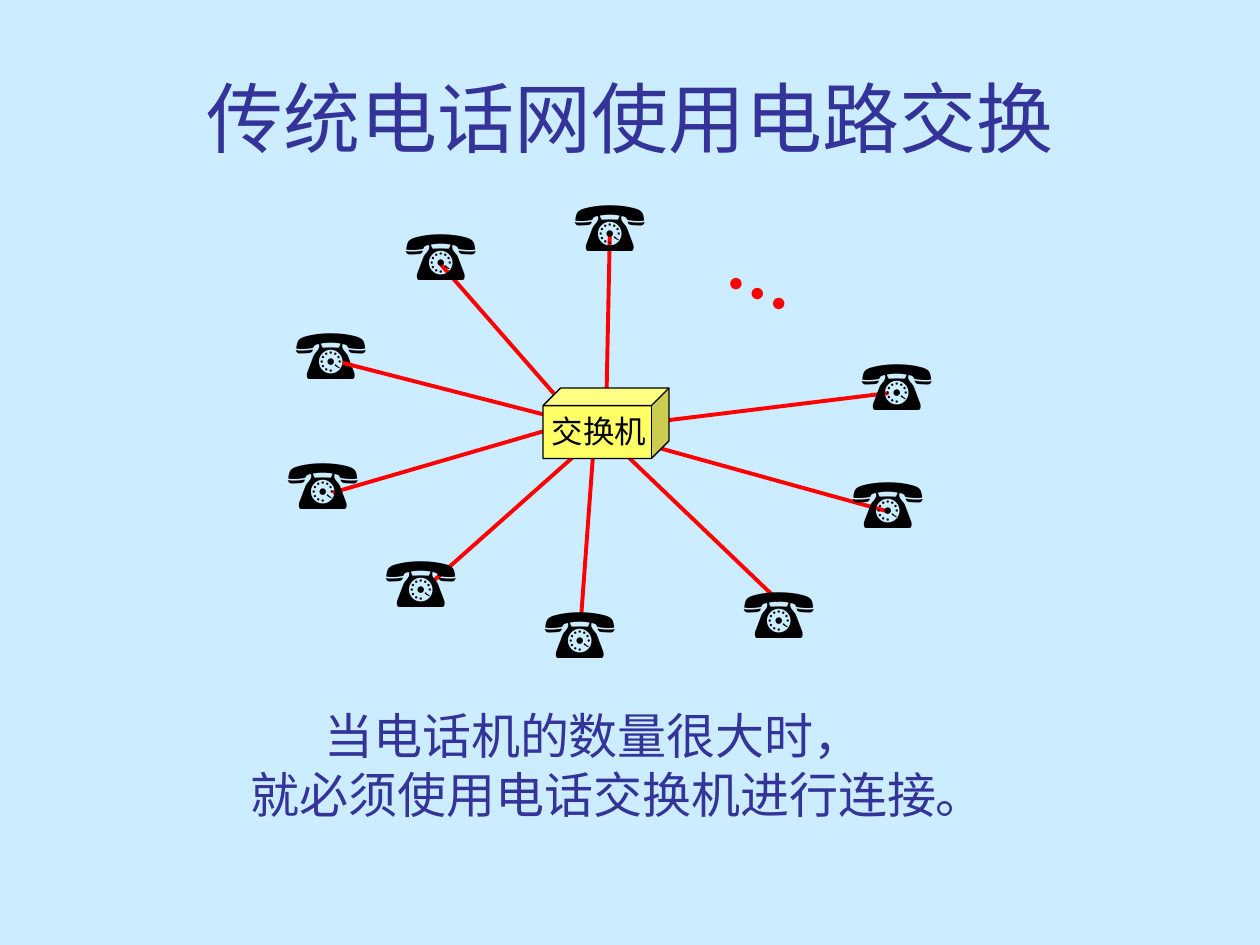
from pptx import Presentation
from pptx.dml.color import RGBColor as RGB
from pptx.enum.shapes import MSO_CONNECTOR as Link, MSO_SHAPE as Form
from pptx.enum.text import MSO_ANCHOR as Anchor, MSO_AUTO_SIZE as Fit, PP_ALIGN as Align
from pptx.oxml.ns import qn
from pptx.util import Inches, Pt
from lxml import etree

SKY = RGB(0xCC, 0xEC, 0xFF)
NAVY = RGB(0x33, 0x33, 0x99)
RED = RGB(0xFF, 0, 0)
BLACK = RGB(0, 0, 0)
YELLOW = RGB(0xFF, 0xFF, 0x66)

# Wires (x1, y1, x2, y2) and phones (left, top), from back to front
BACK_WIRES = [
    (5.02, 3.37, 7.05, 3.12), (7.05, 4.06, 4.85, 3.45), (4.61, 4.93, 4.72, 3.43),
    (3.43, 4.62, 4.76, 3.44), (2.64, 3.91, 4.53, 3.36), (3.5, 2.1, 4.55, 3.3),
    (4.81, 3.32, 4.84, 1.86),
]
BACK_PHONES = [(4.46, 1.39), (2.25, 2.41), (2.96, 4.22), (6.74, 2.65)]
FRONT_WIRES = [(2.72, 2.88, 4.59, 3.36), (6.18, 4.77, 4.78, 3.43)]
FRONT_PHONES = [(2.18, 3.44), (3.12, 1.62), (4.22, 4.62), (6.67, 3.59), (5.8, 4.46)]


def add_run(para, text, size, font, color, bold=False):
    run = para.add_run()
    run.text = text
    run.font.size = Pt(size)
    run.font.name = font
    run.font.bold = bold
    run.font.color.rgb = color


def add_text(shapes, box, lines, size, font, color, align=Align.LEFT, bold=False):
    label = shapes.add_textbox(*map(Inches, box))
    frame = label.text_frame
    frame.word_wrap = False
    frame.auto_size = Fit.SHAPE_TO_FIT_TEXT
    for i, line in enumerate(lines):
        para = frame.add_paragraph() if i else frame.paragraphs[0]
        para.alignment = align
        add_run(para, line, size, font, color, bold)
    return label


def add_wire(shapes, ends):
    wire = shapes.add_connector(Link.STRAIGHT, *map(Inches, ends))
    wire.line.color.rgb = RED
    wire.line.width = Pt(2.25)
    etree.SubElement(wire._element.spPr, qn("a:effectLst"))


def add_phone(shapes, spot):
    add_text(shapes, (*spot, 0.92, 0.77), ["☎"], 40, "Arial", BLACK)


def add_switch(shapes):
    group = shapes.add_group_shape()
    cube = group.shapes.add_shape(Form.CUBE, *map(Inches, (4.31, 3.08, 1, 0.56)))
    cube.adjustments[0] = 0.25
    cube.shadow.inherit = False
    cube.fill.solid()
    cube.fill.fore_color.rgb = YELLOW
    cube.line.color.rgb = BLACK
    cube.line.width = Pt(0.75)
    add_text(group.shapes, (4.28, 3.22, 0.95, 0.4), ["交换机"],
             18, "Times New Roman", BLACK)


def set_title(title, text):
    title.left, title.top, title.width, title.height = map(Inches, (0.5, 0.3, 9, 1.25))
    frame = title.text_frame
    frame.auto_size = Fit.NONE
    frame.vertical_anchor = Anchor.MIDDLE
    para = frame.paragraphs[0]
    para.alignment = Align.CENTER
    add_run(para, text, 44, "Arial", NAVY)


def main():
    deck = Presentation()
    deck.slide_width, deck.slide_height = Inches(10), Inches(7.5)
    slide = deck.slides.add_slide(deck.slide_layouts[5])
    slide.background.fill.solid()
    slide.background.fill.fore_color.rgb = SKY
    shapes = slide.shapes
    set_title(shapes.title, "传统电话网使用电路交换")

    # Phone network
    for wires, phones in ((BACK_WIRES, BACK_PHONES), (FRONT_WIRES, FRONT_PHONES)):
        for ends in wires:
            add_wire(shapes, ends)
        for spot in phones:
            add_phone(shapes, spot)

    # Further phones left out
    dots = add_text(shapes, (5.71, 1.78, 0.75, 0.77), ["…"],
                    40, "Times New Roman", RED, bold=True)
    dots.rotation = 24.9

    # Switch and caption
    add_switch(shapes)
    add_text(shapes, (1.7, 5.55, 6.02, 1.04),
             ["当电话机的数量很大时，", "就必须使用电话交换机进行连接。"],
             28, "Roboto Slab", NAVY, Align.CENTER)

    deck.save("out.pptx")


if __name__ == "__main__":
    main()
